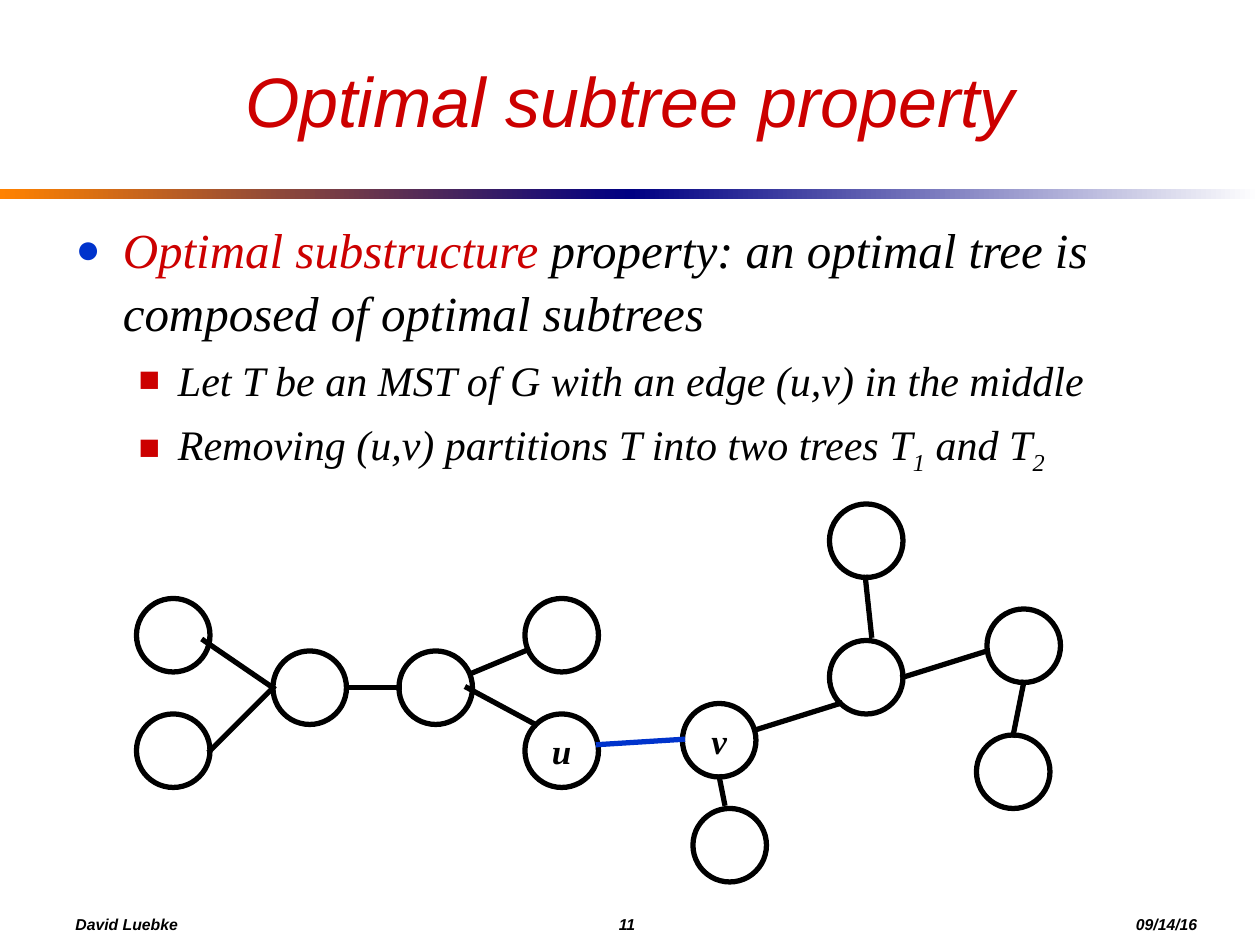
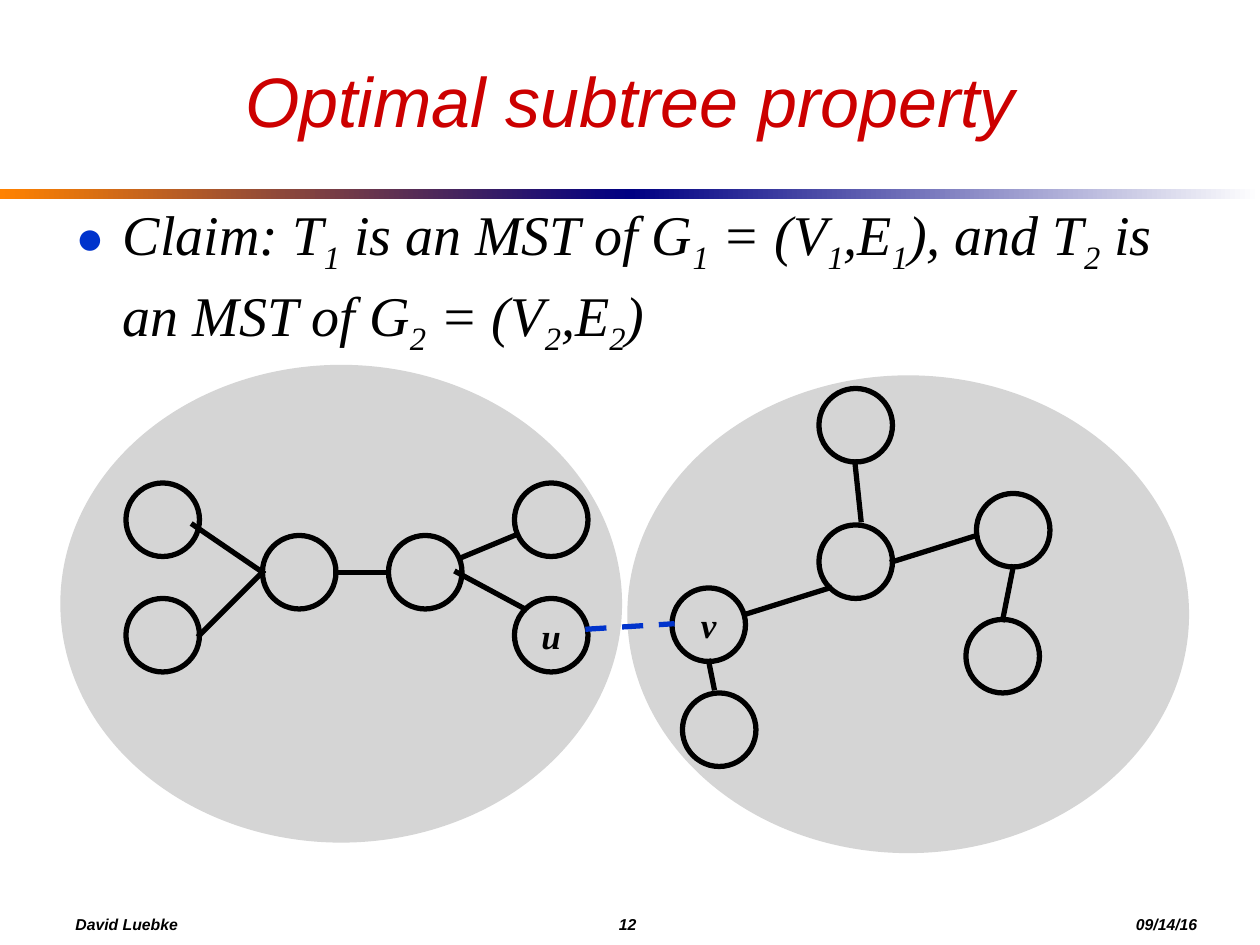
from lxml import etree
from pptx import Presentation
from pptx.dml.color import RGBColor
from pptx.enum import dml, shapes, text
from pptx.oxml import ns
from pptx.util import Pt

RED = RGBColor(0xCC, 0x00, 0x00)
BLUE = RGBColor(0x00, 0x33, 0xCC)
BLACK = RGBColor(0x00, 0x00, 0x00)
WHITE = RGBColor(0xFF, 0xFF, 0xFF)
NAVY = RGBColor(0x00, 0x00, 0x82)
ORANGE = RGBColor(0xFF, 0x82, 0x00)
GREY = RGBColor(0xD5, 0xD5, 0xD5)

NODE_SIZE = 42
LINE_WIDTH = 3

TITLE_FORMAT = {"name": "Arial", "size": Pt(40), "italic": True, "bold": False}
BODY_FORMAT = {"name": "Times New Roman", "italic": True}
NODE_FORMAT = {"name": "Times New Roman", "size": Pt(20), "bold": True, "italic": True}
FOOTER_FORMAT = {"name": "Arial", "size": Pt(9), "bold": True, "italic": True}

# Per list level: bullet, its colour, left margin, hanging indent
BULLETS = [("●", BLUE, 27, -27), ("■", RED, 58.5, -22.5)]

# Tree nodes: left, top, label
NODES = [
    (78, 342, ""), (156, 372, ""), (78, 408, ""), (228, 372, ""),
    (300, 342, ""), (300, 408, "u"), (390, 402, "v"), (396, 462, ""),
    (474, 288, ""), (474, 366, ""), (564, 348, ""), (558, 420, ""),
]
# Tree edges: start x, start y, end x, end y
EDGES = [
    (116.5, 366, 156, 393), (120, 429, 156, 393), (198, 393, 228, 393),
    (267, 393, 306, 414), (300, 372, 270, 384.5), (432, 417, 480, 402),
    (516, 387, 564, 372), (494.5, 330, 498, 363), (414, 459, 411, 444),
    (579, 420, 585, 390),
]
UV_EDGE = (342, 425.5, 390, 422.5)


class Deck:
    """Holds the shared style and the slide being built."""

    def __init__(self):
        self.presentation = Presentation()
        self.presentation.slide_width = Pt(720)
        self.presentation.slide_height = Pt(540)
        self.layout = self.presentation.slide_layouts[1]
        self.slide = None

    def new_slide(self, title, number):
        self.slide = self.presentation.slides.add_slide(self.layout)
        if number == FIRST_NUMBER:
            self.band()
        self.title(title)
        self.footer(number)

    def apply(self, font, color, values):
        font.color.rgb = color
        for name, value in values.items():
            setattr(font, name, value)

    def place(self, shape, *box):
        for name, value in zip(("left", "top", "width", "height"), box):
            setattr(shape, name, Pt(value))

    def band(self):
        """Gradient band, moved to the layout so that every slide shows it."""
        for left, start, end in ((0, ORANGE, NAVY), (360, NAVY, WHITE)):
            bar = self.preset(shapes.MSO_SHAPE.RECTANGLE, left, 108, 360, 6)
            bar.line.fill.background()
            bar.fill.gradient()
            bar.fill.gradient_angle = 0
            for stop, color in zip(bar.fill.gradient_stops, (start, end)):
                stop.color.rgb = color
            self.layout.shapes.element.append(bar.element)

    def title(self, words):
        shape = self.slide.shapes.title
        self.place(shape, 36, 18, 648, 78)
        frame = shape.text_frame
        frame.auto_size = text.MSO_AUTO_SIZE.NONE
        frame.vertical_anchor = text.MSO_ANCHOR.MIDDLE
        frame.text = words
        frame.paragraphs[0].alignment = text.PP_ALIGN.CENTER
        self.apply(frame.paragraphs[0].runs[0].font, RED, TITLE_FORMAT)

    def footer(self, number):
        box = self.slide.shapes.add_textbox(Pt(36), Pt(516), Pt(660), Pt(24))
        frame = box.text_frame
        frame.word_wrap = True
        frame.vertical_anchor = text.MSO_ANCHOR.MIDDLE
        paragraph = frame.paragraphs[0]
        tabs = etree.SubElement(paragraph._p.get_or_add_pPr(), ns.qn("a:tabLst"))
        for position in (310.5, 606):
            etree.SubElement(tabs, ns.qn("a:tab"), pos=str(Pt(position)), algn="l")
        run = paragraph.add_run()
        run.text = f"David Luebke\t{number}\t09/14/16"
        self.apply(run.font, BLACK, FOOTER_FORMAT)

    def body(self, top, items):
        """Items are (level, size, red lead-in, text); ~ encloses subscripts."""
        shape = self.slide.placeholders[1]
        self.place(shape, 36, top, 648, 342)
        frame = shape.text_frame
        frame.auto_size = text.MSO_AUTO_SIZE.NONE
        for index, (level, size, lead, words) in enumerate(items):
            paragraph = frame.add_paragraph() if index else frame.paragraphs[0]
            paragraph.level = level
            self.bullet(paragraph, *BULLETS[level])
            paragraph.line_spacing = 1.06
            paragraph.space_before = Pt(6 if index else 0)
            pieces = [(lead, RED, False)] if lead else []
            pieces += [(piece, BLACK, position % 2 == 1)
                       for position, piece in enumerate(words.split("~")) if piece]
            for piece, color, subscript in pieces:
                run = paragraph.add_run()
                run.text = piece
                self.apply(run.font, color, {**BODY_FORMAT, "size": Pt(size)})
                if subscript:
                    run._r.get_or_add_rPr().set("baseline", "-25000")

    def bullet(self, paragraph, character, color, margin, indent):
        properties = paragraph._p.get_or_add_pPr()
        properties.set("marL", str(Pt(margin)))
        properties.set("indent", str(Pt(indent)))
        bullet_color = etree.SubElement(properties, ns.qn("a:buClr"))
        etree.SubElement(bullet_color, ns.qn("a:srgbClr"), val=str(color))
        etree.SubElement(properties, ns.qn("a:buSzPct"), val="85000")
        etree.SubElement(properties, ns.qn("a:buFont"), typeface="Arial")
        etree.SubElement(properties, ns.qn("a:buChar"), char=character)

    def preset(self, kind, *box):
        shape = self.slide.shapes.add_shape(kind, *map(Pt, box))
        shape.shadow.inherit = False
        return shape

    def ellipse(self, left, top, width, height, color, filled=False):
        shape = self.preset(shapes.MSO_SHAPE.OVAL, left, top, width, height)
        if filled:
            shape.fill.solid()
            shape.fill.fore_color.rgb = color
        else:
            shape.fill.background()
        shape.line.color.rgb = color
        shape.line.width = Pt(LINE_WIDTH)
        return shape

    def node(self, left, top, label):
        shape = self.ellipse(left, top, NODE_SIZE, NODE_SIZE, BLACK)
        if label:
            frame = shape.text_frame
            frame.word_wrap = False
            frame.vertical_anchor = text.MSO_ANCHOR.MIDDLE
            frame.text = label
            frame.paragraphs[0].alignment = text.PP_ALIGN.CENTER
            self.apply(frame.paragraphs[0].runs[0].font, BLACK, NODE_FORMAT)

    def edge(self, ends, color=BLACK, dashed=False):
        line = self.slide.shapes.add_connector(
            shapes.MSO_CONNECTOR.STRAIGHT, *map(Pt, ends))
        line.line.color.rgb = color
        line.line.width = Pt(LINE_WIDTH)
        if dashed:
            line.line.dash_style = dml.MSO_LINE.DASH
        properties = line.element.spPr
        properties.find(ns.qn("a:ln")).set("cap", "sq")
        etree.SubElement(properties, ns.qn("a:effectLst"))

    def tree(self, shift_x=0, shift_y=0, cut=False):
        """The spanning tree; a cut tree has its edge (u,v) dashed."""
        def shifted(ends):
            return [value + shift
                    for value, shift in zip(ends, (shift_x, shift_y) * 2)]

        for left, top, label in NODES:
            self.node(left + shift_x, top + shift_y, label)
        for ends in EDGES:
            self.edge(shifted(ends))
        self.edge(shifted(UV_EDGE), BLUE, cut)


TITLE = "Optimal subtree property"
FIRST_NUMBER = 11


def main():
    deck = Deck()

    # Optimal substructure
    deck.new_slide(TITLE, FIRST_NUMBER)
    deck.body(120, [
        (0, 28, "Optimal substructure",
         " property: an optimal tree is composed of optimal subtrees"),
        (1, 24, "", "Let T be an MST of G with an edge (u,v) in the middle"),
        (1, 24, "", "Removing (u,v) partitions T into two trees T~1~ and T~2~"),
    ])
    deck.tree()

    # Claim about the two subtrees
    deck.new_slide(TITLE, FIRST_NUMBER + 1)
    deck.body(108, [
        (0, 32, "", "Claim: T~1~ is an MST of G~1~ = (V~1~,E~1~), and T~2~"
                    " is an MST of G~2~ = (V~2~,E~2~)"),
    ])
    for left, top in ((360, 216), (36, 210)):
        deck.ellipse(left, top, 318, 270, GREY, filled=True)
    deck.tree(-6, -66, cut=True)

    deck.presentation.save("out.pptx")


if __name__ == "__main__":
    main()
